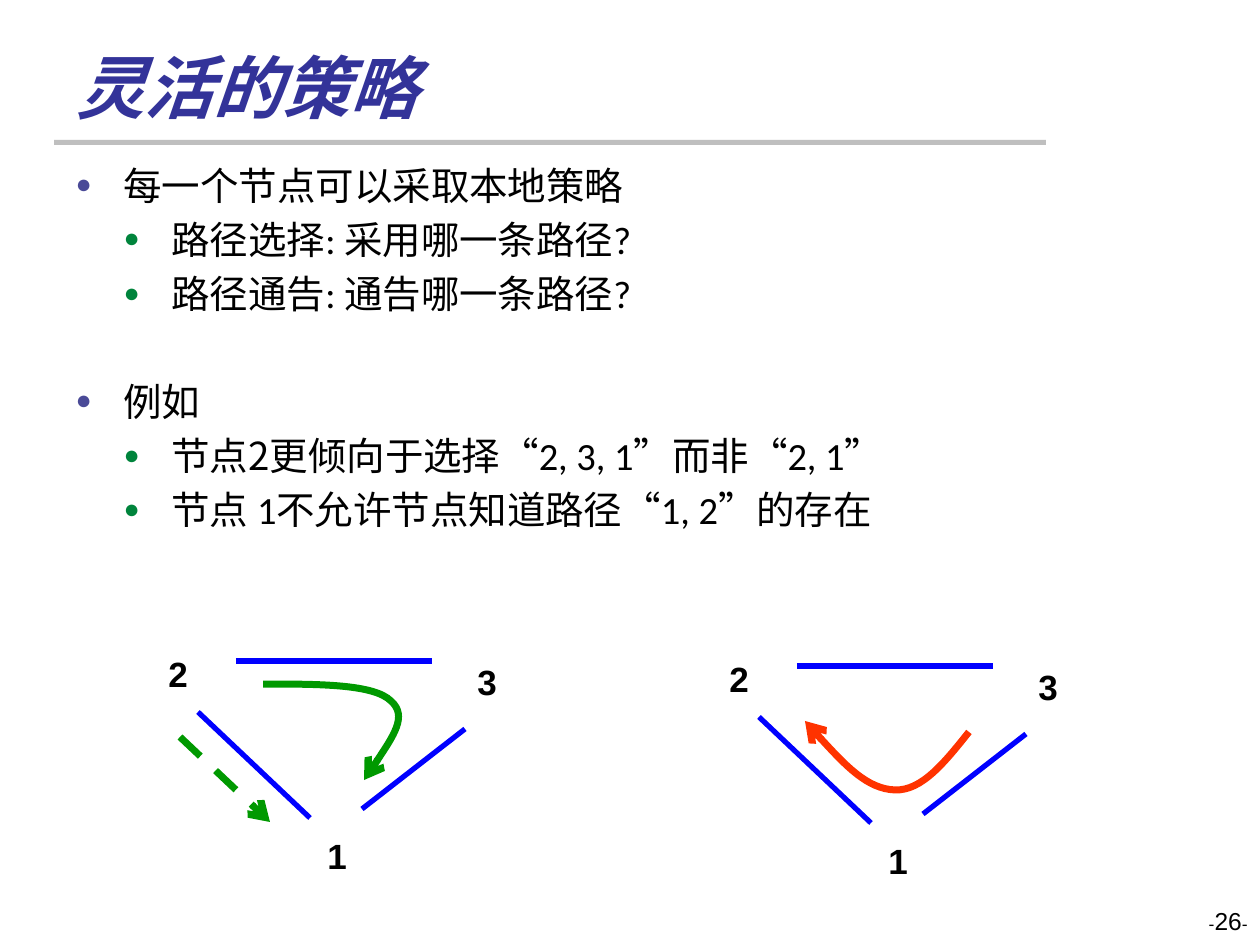
"""Build the slide on flexible routing policies."""
from dataclasses import dataclass

from lxml import etree
from pptx import Presentation
from pptx import util as u
from pptx.dml.color import RGBColor
from pptx.enum import dml, shapes, text
from pptx.oxml.ns import qn

EMU_PER_PX = 914400 / 126
LATIN, CJK, SANS = "Calibri", "Noto Sans CJK SC", "Arial"
BLACK, BLUE, GREEN, RED = "000000", "0000FF", "009900", "FF3300"
BULLET_COLORS = ("4A4A97", "00843C")
INDENT = 48
BODY_SIZE = 22
Point = tuple[int, int]


@dataclass
class Item:
    """A bullet whose pieces are (wording, font) pairs."""
    level: int
    pieces: list[tuple[str, str]]
    before: float = 4.4


@dataclass
class Node:
    """A numbered network node."""
    name: str
    at: Point


@dataclass
class Link:
    """A straight line between two points."""
    start: Point
    end: Point
    color: str = BLUE
    width: int = 3
    arrow: bool = False


@dataclass
class Route:
    """A curved arrow: a start, then cubic control points in threes."""
    start: Point
    controls: list[Point]
    color: str


ITEMS = [
    Item(0, [("每一个节点可以采取本地策略", LATIN)], 0),
    Item(1, [("路径选择: 采用哪一条路径?", LATIN)]),
    Item(1, [("路径通告: 通告哪一条路径?", LATIN)]),
    Item(0, [("例如", LATIN)], 35.2),
    Item(1, [("节点2更倾向于选择“", CJK), ("2, 3, 1", LATIN), ("”而非“", CJK),
             ("2, 1", LATIN), ("”", CJK)]),
    Item(1, [("节点 1不允许节点知道路径", LATIN), ("“", CJK), ("1, 2", LATIN),
             ("”的存在", CJK)]),
]
NODES = [Node("2", (156, 646)), Node("3", (465, 654)), Node("1", (315, 828))]
LINKS = [Link((236, 661), (432, 661)), Link((465, 729), (362, 809)),
         Link((198, 712), (310, 818))]
NETWORK_OFFSETS = [(0, 0), (561, 5)]
DIRECT_ROUTE = Link((180, 737), (270, 822), GREEN, 4, True)
ROUTES = [
    Route((263, 684), [(319, 684), (374, 684), (391, 701),
                       (408, 716), (386, 748), (364, 780)], GREEN),
    Route((969, 732), [(945, 762), (922, 791), (895, 790),
                       (867, 789), (835, 755), (805, 721)], RED),
]


def px(length: int) -> u.Emu:
    """Turn px into EMU."""
    return u.Emu(round(length * EMU_PER_PX))


def rgb(value: str) -> RGBColor:
    """Turn a hex string into a colour."""
    return RGBColor.from_string(value)


def shifted(point: Point, offset: Point) -> Point:
    """Move a point by an offset."""
    return point[0] + offset[0], point[1] + offset[1]


def style(run, size: int, font: str, color: str = BLACK, bold: bool = False,
          italic: bool = False) -> None:
    """Format one run."""
    run.font.size, run.font.name = u.Pt(size), font
    run.font.bold, run.font.italic = bold, italic
    run.font.color.rgb = rgb(color)
    if font != SANS:
        east_asian = etree.Element(qn("a:ea"), typeface=CJK)
        run.font._element.find(qn("a:latin")).addnext(east_asian)


def place(shape, left: int, top: int, width: int, height: int) -> None:
    """Position and size a shape."""
    shape.left, shape.top = px(left), px(top)
    shape.width, shape.height = px(width), px(height)


def add_title(slide, wording: str) -> None:
    """Fill the title and draw the rule under it."""
    rule = slide.shapes.add_shape(shapes.MSO_SHAPE.RECTANGLE,
                                  px(54), px(140), px(992), px(5))
    rule.shadow.inherit = False
    rule.fill.solid()
    rule.fill.fore_color.rgb = rgb("BFBFBF")
    rule.line.fill.background()
    title = slide.shapes.title
    place(title, 64, 35, 1040, 98)
    frame = title.text_frame
    frame.text = wording
    frame.auto_size = text.MSO_AUTO_SIZE.NONE
    frame.vertical_anchor = text.MSO_ANCHOR.BOTTOM
    frame.paragraphs[0].alignment = text.PP_ALIGN.LEFT
    style(frame.paragraphs[0].runs[0], 39, LATIN, "333399", True, True)


def add_bullet(paragraph, level: int) -> None:
    """Give a paragraph its indent and coloured bullet."""
    props = paragraph._p.get_or_add_pPr()
    props.set("marL", str(px(INDENT * (level + 1))))
    props.set("indent", str(px(-INDENT)))
    color = etree.SubElement(props, qn("a:buClr"))
    etree.SubElement(color, qn("a:srgbClr"), val=BULLET_COLORS[level])
    etree.SubElement(props, qn("a:buSzPct"), val="70000")
    etree.SubElement(props, qn("a:buChar"), char="●")


def add_items(slide, items: list[Item]) -> None:
    """Fill the body with its bullets."""
    body = slide.placeholders[1]
    place(body, 63, 155, 1134, 735)
    frame = body.text_frame
    frame.auto_size = text.MSO_AUTO_SIZE.NONE
    for index, item in enumerate(items):
        paragraph = frame.add_paragraph() if index else frame.paragraphs[0]
        paragraph.level = item.level
        add_bullet(paragraph, item.level)
        paragraph.space_before = u.Pt(item.before)
        paragraph.line_spacing = u.Pt(26.5)
        for wording, font in item.pieces:
            run = paragraph.add_run()
            run.text = wording
            style(run, BODY_SIZE, font)


def add_node(slide, node: Node, offset: Point) -> None:
    """Draw a node number."""
    left, top = shifted(node.at, offset)
    box = slide.shapes.add_textbox(px(left), px(top), px(43), px(54))
    frame = box.text_frame
    frame.text = node.name
    frame.word_wrap = False
    frame.auto_size = text.MSO_AUTO_SIZE.SHAPE_TO_FIT_TEXT
    style(frame.paragraphs[0].runs[0], 20, SANS, bold=True)


def style_line(line, color: str, width: int, arrow: bool) -> None:
    """Format an outline and its arrowhead."""
    line.color.rgb = rgb(color)
    line.width = u.Pt(width)
    if arrow:
        etree.SubElement(line._get_or_add_ln(), qn("a:tailEnd"), type="arrow")


def add_link(slide, link: Link, offset: Point = (0, 0)) -> None:
    """Draw a link; one with an arrow is dashed."""
    ends = shifted(link.start, offset) + shifted(link.end, offset)
    connector = slide.shapes.add_connector(shapes.MSO_CONNECTOR.STRAIGHT, *map(px, ends))
    if link.arrow:
        connector.line.dash_style = dml.MSO_LINE.DASH
    style_line(connector.line, link.color, link.width, link.arrow)
    etree.SubElement(connector._element.spPr, qn("a:effectLst"))


def add_route(slide, route: Route) -> None:
    """Draw a curved arrow, turning each three segments into one cubic."""
    builder = slide.shapes.build_freeform(*map(px, route.start))
    builder.add_line_segments([(px(x), px(y)) for x, y in route.controls], close=False)
    curve = builder.convert_to_shape()
    segments = list(curve._element.iter(qn("a:lnTo")))
    for first in range(0, len(segments), 3):
        cubic = etree.Element(qn("a:cubicBezTo"))
        segments[first].addprevious(cubic)
        for segment in segments[first:first + 3]:
            cubic.append(segment[0])
            segment.getparent().remove(segment)
    curve.shadow.inherit = False
    curve.fill.background()
    style_line(curve.line, route.color, 4, True)


def add_page_number(slide, number: str) -> None:
    """Write the page number between small dashes."""
    box = slide.shapes.add_textbox(px(966), px(900), px(294), px(63 - 18))
    box.text_frame.word_wrap = True
    paragraph = box.text_frame.paragraphs[0]
    paragraph.alignment = text.PP_ALIGN.RIGHT
    for wording, size in (("-", 10), (number, 14), ("-", 10)):
        run = paragraph.add_run()
        run.text = wording
        style(run, size, SANS)


def main() -> None:
    """Build and save the deck."""
    deck = Presentation()
    deck.slide_width, deck.slide_height = px(1260), px(945)
    slide = deck.slides.add_slide(deck.slide_layouts[1])
    add_title(slide, "灵活的策略")
    add_items(slide, ITEMS)
    add_page_number(slide, "26")
    for offset in NETWORK_OFFSETS:
        for node in NODES:
            add_node(slide, node, offset)
        for link in LINKS:
            add_link(slide, link, offset)
    add_link(slide, DIRECT_ROUTE)
    for route in ROUTES:
        add_route(slide, route)
    deck.save("out.pptx")


if __name__ == "__main__":
    main()
